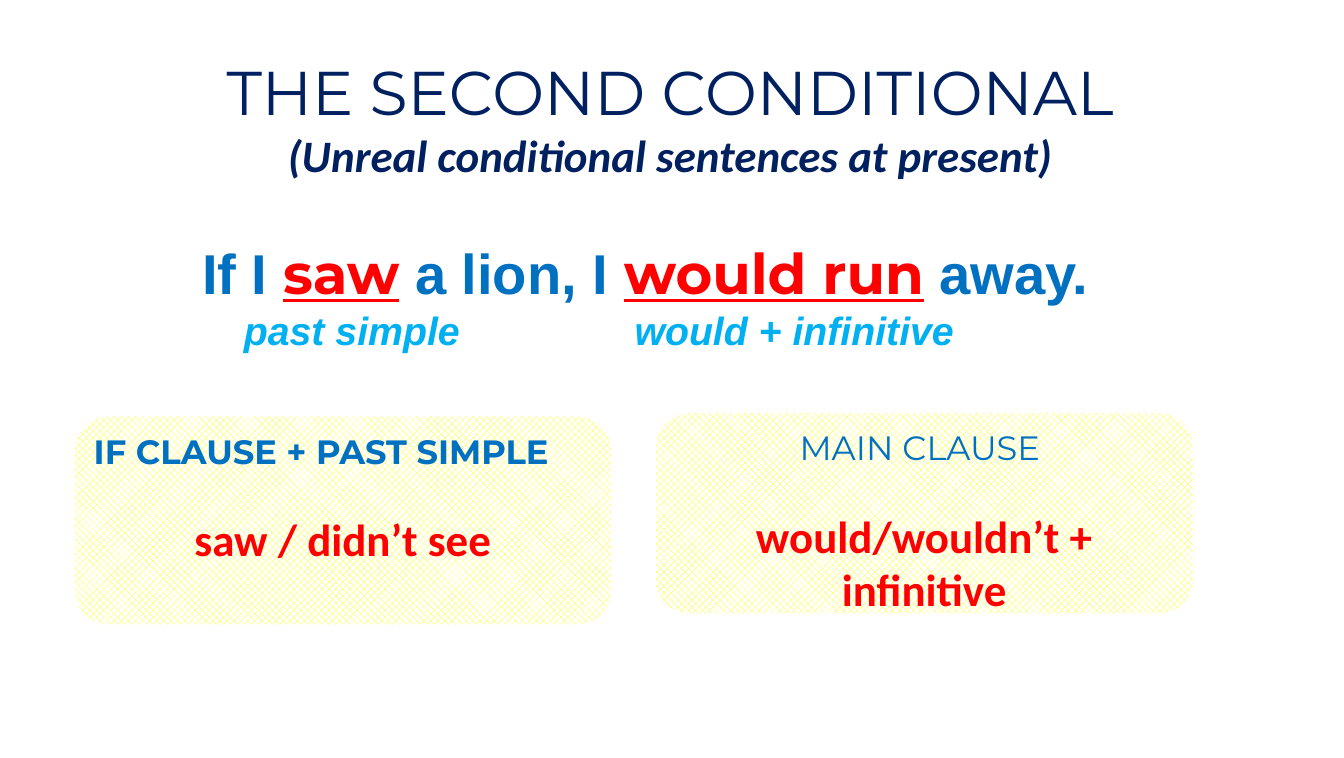
from lxml.etree import SubElement
from pptx import Presentation
from pptx.dml.color import RGBColor
from pptx.enum.dml import MSO_PATTERN
from pptx.enum.shapes import MSO_SHAPE
from pptx.enum.text import MSO_ANCHOR, PP_ALIGN
from pptx.oxml.ns import qn
from pptx.util import Cm, Pt

NAVY = RGBColor(0x00, 0x20, 0x60)
BLUE = RGBColor(0x00, 0x70, 0xC0)
SKY = RGBColor(0x00, 0xB0, 0xF0)
RED = RGBColor(0xFF, 0x00, 0x00)
YELLOW = RGBColor(0xFF, 0xFF, 0x00)
WHITE = RGBColor(0xFF, 0xFF, 0xFF)


def add_text(paragraph, text, *, font, size, color, bold=False, italic=False,
             underline=False):
    run = paragraph.add_run()
    run.text = text
    run.font.name = font
    run.font.size = Pt(size)
    run.font.color.rgb = color
    run.font.bold = bold
    run.font.italic = italic
    run.font.underline = underline


def add_text_box(slide, left, top, width, height, anchor=MSO_ANCHOR.TOP):
    frame = slide.shapes.add_textbox(Cm(left), Cm(top), Cm(width), Cm(height)).text_frame
    frame.word_wrap = True
    frame.vertical_anchor = anchor
    return frame


def set_tabs(paragraph, *positions):
    tabs = SubElement(paragraph._p.get_or_add_pPr(), qn("a:tabLst"))
    for position in positions:
        SubElement(tabs, qn("a:tab"), pos=str(Cm(position)), algn="l")


def add_clause_card(slide, left, top, height, heading, pattern, *, align, bold):
    card = slide.shapes.add_shape(MSO_SHAPE.FLOWCHART_ALTERNATE_PROCESS,
                                  Cm(left), Cm(top), Cm(13.54), Cm(height))
    card.shadow.inherit = False
    card.fill.patterned()
    card.fill.pattern = MSO_PATTERN.PERCENT_50
    card.fill.fore_color.rgb = YELLOW
    card.fill.back_color.rgb = WHITE
    card.line.color.rgb = WHITE
    card.line.width = Pt(1.5)

    frame = card.text_frame
    frame.word_wrap = True
    frame.vertical_anchor = MSO_ANCHOR.TOP
    heading_line = frame.paragraphs[0]
    heading_line.alignment = align
    add_text(heading_line, heading, font="Montserrat", size=24, color=BLUE, bold=bold)
    pattern_line = frame.add_paragraph()
    pattern_line.alignment = PP_ALIGN.CENTER
    pattern_line.space_before = Pt(29)
    add_text(pattern_line, pattern, font="Calibri", size=32, color=RED, bold=True)


def add_title(slide):
    frame = add_text_box(slide, 1.65, 0.84, 30.4, 4.24, MSO_ANCHOR.MIDDLE)
    title = frame.paragraphs[0]
    title.alignment = PP_ALIGN.CENTER
    add_text(title, "THE SECOND CONDITIONAL", font="Montserrat", size=44, color=NAVY)
    title.add_line_break()
    add_text(title, "(Unreal conditional sentences at present)",
             font="Calibri", size=32, color=NAVY, bold=True, italic=True)


def add_example(slide):
    frame = add_text_box(slide, 4.83, 5.87, 23.29, 3.18)
    sentence = frame.paragraphs[0]
    plain = dict(font="Arial", size=40, color=BLUE, bold=True)
    verb = dict(font="Montserrat", size=40, color=RED, bold=True, underline=True)
    for text, style in (("If I ", plain), ("saw", verb), (" a lion, I ", plain),
                        ("would run", verb), (" away.", plain)):
        add_text(sentence, text, **style)

    # Verb forms, lined up under the verbs
    verb_forms = frame.add_paragraph()
    set_tabs(verb_forms, 1.05, 10.87)
    add_text(verb_forms, "\tpast simple\twould + infinitive",
             font="Arial", size=28, color=SKY, bold=True, italic=True)


def main():
    presentation = Presentation()
    presentation.slide_width = Cm(33.78)
    presentation.slide_height = Cm(19.05)
    slide = presentation.slides.add_slide(presentation.slide_layouts[6])

    # Title and example sentence
    add_title(slide)
    add_example(slide)

    # The two clauses
    add_clause_card(slide, 1.85, 10.44, 5.28, "IF CLAUSE + PAST SIMPLE",
                    "saw / didn’t see", align=PP_ALIGN.LEFT, bold=True)
    add_clause_card(slide, 16.46, 10.36, 5.08, "MAIN CLAUSE ",
                    "would/wouldn’t + infinitive", align=PP_ALIGN.CENTER, bold=False)

    presentation.save("out.pptx")


if __name__ == "__main__":
    main()
